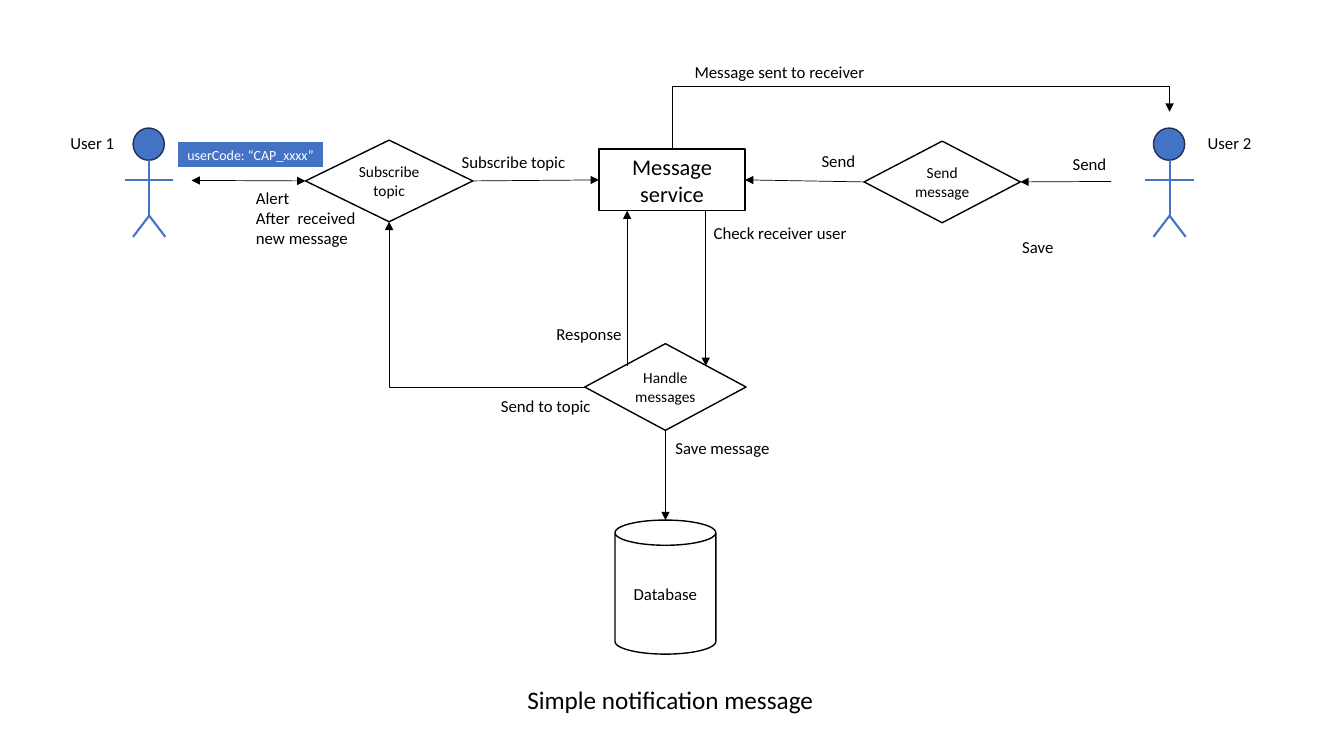
from lxml.etree import SubElement
from pptx import Presentation
from pptx.dml.color import RGBColor
from pptx.enum.shapes import MSO_CONNECTOR as LINK, MSO_SHAPE as SHAPE
from pptx.enum.text import MSO_ANCHOR as ANCHOR, PP_ALIGN as ALIGN
from pptx.oxml.ns import qn
from pptx.util import Inches, Pt

COLORS = {"ink": "000000", "paper": "FFFFFF", "blue": "4472C4", "navy": "1E3256"}
FONT = "Calibri"


def rgb(name):
    return RGBColor.from_string(COLORS[name])


def write(tf, text, size, color="ink", align=ALIGN.LEFT):
    tf.text = text
    for p in tf.paragraphs:
        p.alignment = align
        p.font.name, p.font.size = FONT, Pt(size)
        p.font.color.rgb = rgb(color)


def label(slide, x, y, w, text, h=0.3):
    tf = slide.shapes.add_textbox(*map(Inches, (x, y, w, h))).text_frame
    tf.word_wrap = False
    write(tf, text, 12)


def node(slide, kind, x, y, w, h, text="", size=11, fill="paper", line="ink",
         weight=1, color="ink", align=ALIGN.CENTER):
    sp = slide.shapes.add_shape(kind, *map(Inches, (x, y, w, h)))
    sp.shadow.inherit = False
    sp.fill.solid()
    sp.fill.fore_color.rgb = rgb(fill)
    sp.line.color.rgb = rgb(line)
    sp.line.width = Pt(weight)
    if text:
        sp.text_frame.word_wrap = True
        sp.text_frame.vertical_anchor = ANCHOR.MIDDLE
        write(sp.text_frame, text, size, color, align)
    return sp


def link(slide, start, end, kind=LINK.STRAIGHT, color="ink", weight=0.5, ends=("tail",)):
    """Draw a line; ends names the arrowheads, head at start and tail at end."""
    c = slide.shapes.add_connector(kind, *map(Inches, (*start, *end)))
    c.line.color.rgb = rgb(color)
    c.line.width = Pt(weight)
    for name in ends:
        SubElement(c.line._get_or_add_ln(), qn(f"a:{name}End"), type="triangle")
    SubElement(c._element.spPr, qn("a:effectLst"))
    return c


def corner_link(slide, start, end):
    """Go across from start, then turn once towards end."""
    c = link(slide, start, end, LINK.ELBOW)
    c._element.spPr.find(qn("a:prstGeom")).set("prst", "bentConnector2")


def over_link(slide, start, end, top):
    """Rise from start to top, go across and drop to end on the right."""
    (x1, y1), (x2, y2) = start, end
    cx, cy = (x1 + x2) / 2, (y1 + y2) / 2
    half_w, half_h = (y1 - y2) / 2, (x2 - x1) / 2
    c = link(slide, (cx + half_w, cy + half_h), (cx - half_w, cy - half_h), LINK.ELBOW)
    pr = c._element.spPr
    pr.find(qn("a:xfrm")).set("rot", str(90 * 60000))
    guides = pr.find(qn("a:prstGeom")).find(qn("a:avLst"))
    bend = round((y1 - top) / (y1 - y2) * 100000)
    SubElement(guides, qn("a:gd"), name="adj1", fmla=f"val {bend}")


def user(slide, x, y, name, name_x):
    """Stick figure in a box 0.48 wide and 1.08 high."""
    node(slide, SHAPE.OVAL, x + 0.08, y, 0.31, 0.32, fill="blue", line="navy")
    mid, hip, foot = x + 0.24, y + 0.87, y + 1.08
    for start, end in (((mid, y + 0.32), (mid, hip)),
                       ((mid, hip), (mid - 0.16, foot)),
                       ((mid, hip), (mid + 0.16, foot)),
                       ((x, y + 0.52), (x + 0.48, y + 0.52))):
        link(slide, start, end, color="blue", weight=1.5, ends=())
    label(slide, name_x, y, 0.64, name)


def subscriber_side(slide, x, y):
    user(slide, x + 0.64, y, "User 1", x)
    node(slide, SHAPE.RECTANGLE, x + 1.16, y + 0.13, 1.46, 0.27, "userCode: “CAP_xxxx”",
         10, "blue", "paper", 1.5, "paper", ALIGN.LEFT)
    topic = node(slide, SHAPE.DIAMOND, x + 2.43, y + 0.12, 1.66, 0.81, "Subscribe topic")
    link(slide, (x + 1.3, y + 0.52), (x + 2.43, y + 0.52),
         ends=("head", "tail")).end_connect(topic, 1)
    label(slide, x + 1.84, y + 0.54, 1.24, "Alert\nAfter  received\nnew message", 0.71)
    label(slide, x + 3.88, y + 0.19, 1.24, "Subscribe topic")
    return topic


def sender_side(slide, x, y):
    send = node(slide, SHAPE.DIAMOND, x, y + 0.13, 1.55, 0.81, "Send message")
    user(slide, x + 2.79, y, "User 2", x + 3.31)
    link(slide, (x + 2.45, y + 0.53), (x + 1.55, y + 0.53)).end_connect(send, 3)
    label(slide, x - 0.52, y + 0.18, 0.54, "Send")
    label(slide, x + 1.97, y + 0.21, 0.54, "Send")
    label(slide, x + 1.47, y + 1.03, 0.51, "Save")
    return send


def service_column(slide, x, y):
    """Service, handler and database from top to bottom; x, y is the handler's column."""
    service = node(slide, SHAPE.RECTANGLE, x + 0.14, y, 1.45, 0.61, "Message service", 16)
    handler = node(slide, SHAPE.DIAMOND, x, y + 1.93, 1.6, 0.86, "Handle messages")
    node(slide, SHAPE.CAN, x + 0.3, y + 3.68, 1, 1.33, "Database", 12)
    link(slide, (x + 1.2, y + 0.61), (x + 1.2, y + 2.15))
    link(slide, (x + 0.42, y + 2.15), (x + 0.42, y + 0.61))
    link(slide, (x + 0.8, y + 2.79), (x + 0.8, y + 3.68)).begin_connect(handler, 2)
    label(slide, x + 1.18, y + 0.68, 1.54, "Check receiver user")
    label(slide, x - 0.38, y + 1.68, 0.86, "Response")
    label(slide, x + 0.8, y + 2.81, 1.15, "Save message")
    return service


def title(slide, x, y, w, h, text):
    sp = slide.shapes.title
    sp.left, sp.top, sp.width, sp.height = map(Inches, (x, y, w, h))
    sp.text_frame.word_wrap = False
    sp.text_frame.vertical_anchor = ANCHOR.TOP
    write(sp.text_frame, text, 18)


def main():
    prs = Presentation()
    prs.slide_width, prs.slide_height = Inches(13.33), Inches(7.5)
    slide = prs.slides.add_slide(prs.slide_layouts[5])
    title(slide, 5.13, 6.74, 3.07, 0.4, "Simple notification message")

    topic = subscriber_side(slide, 0.6, 1.27)
    service = service_column(slide, 5.8, 1.48)
    send = sender_side(slide, 8.57, 1.27)

    for source, out, into in ((topic, 3, 1), (send, 1, 3)):
        c = link(slide, (4.7, 1.79), (5.94, 1.79))
        c.begin_connect(source, out)
        c.end_connect(service, into)

    corner_link(slide, (5.8, 3.84), (3.86, 2.2))
    label(slide, 4.87, 3.88, 1.1, "Send to topic")
    over_link(slide, (6.67, 1.48), (11.6, 1.11), 0.86)
    label(slide, 6.79, 0.56, 1.91, "Message sent to receiver")
    prs.save("out.pptx")


if __name__ == "__main__":
    main()
